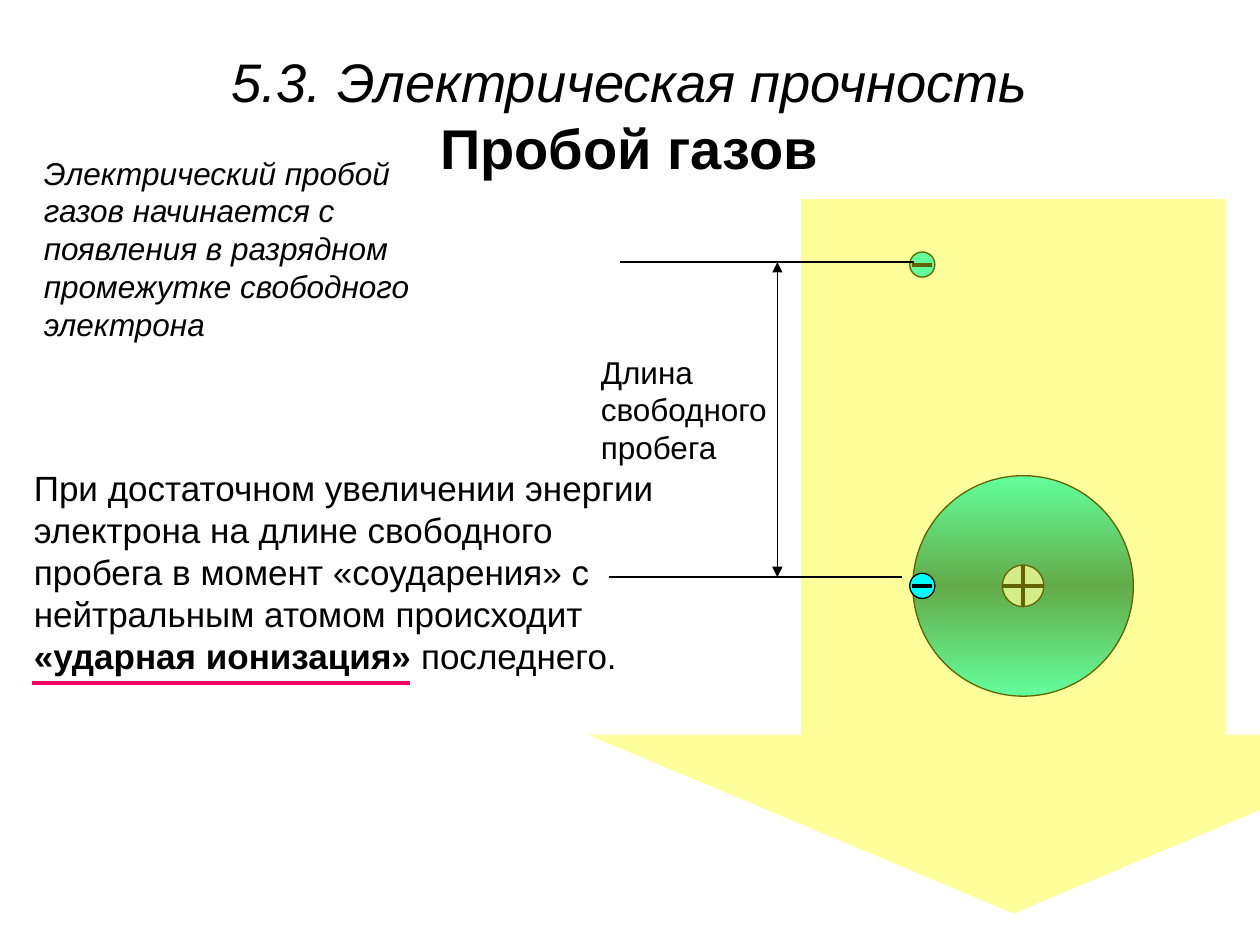
"""Slide on electrical breakdown of gases: notes beside a free-path diagram."""
from dataclasses import dataclass

from lxml.etree import SubElement
from pptx import Presentation
from pptx.dml.color import RGBColor
from pptx.enum.shapes import MSO_CONNECTOR as CONN, MSO_SHAPE as SHAPE
from pptx.enum.text import PP_ALIGN as ALIGN
from pptx.oxml import parse_xml
from pptx.oxml.ns import nsdecls, qn
from pptx.util import Inches, Pt


@dataclass(frozen=True)
class Theme:
    font: str = "Arial"
    ink: str = "000000"
    electron: str = "00FFFF"
    atom_dark: str = "007676"
    nucleus: str = "BBE0E3"
    field: str = "FFFF00"
    accent: str = "FF0066"
    field_alpha: int = 39
    topic: int = 31
    title: int = 32
    body: int = 20
    note: int = 18
    thin: float = 0.75
    thick: float = 2.25


T = Theme()

TITLE = [
    [("5.3. Электрическая прочность", T.topic, "i")],
    [("Пробой газов", T.title, "b")],
]
NOTE = [[("Электрический пробой газов начинается с появления в разрядном "
          "промежутке свободного электрона", T.note, "i")]]
PATH_LABEL = [[("Длина свободного пробега", T.note, "")]]
IONIZATION = [[
    ("При достаточном увеличении энергии электрона на длине свободного пробега "
     "в момент «соударения» с нейтральным атомом происходит ", T.body, ""),
    ("«ударная ионизация»", T.body, "b"),
    (" последнего.", T.body, ""),
]]

ELECTRON_X, START_Y, HIT_Y = 7.32, 2.1, 4.65
NUCLEUS_X = 8.12
PATH_TOP, PATH_BOTTOM, PATH_X = 2.08, 4.58, 6.17

prs = Presentation()
prs.slide_width, prs.slide_height = Inches(10), Inches(7.5)
shapes = prs.slides.add_slide(prs.slide_layouts[6]).shapes


def rgb(color):
    return RGBColor.from_string(color)


def add_text(box, paragraphs, align=ALIGN.LEFT):
    tf = shapes.add_textbox(*map(Inches, box)).text_frame
    tf.word_wrap = True
    for i, runs in enumerate(paragraphs):
        p = tf.add_paragraph() if i else tf.paragraphs[0]
        p.alignment = align
        if i:
            p.line_spacing, p.space_before = 0.4, Pt(20)
        for text, size, style in runs:
            r = p.add_run()
            r.text = text
            r.font.name, r.font.size = T.font, Pt(size)
            r.font.bold, r.font.italic = "b" in style, "i" in style
            r.font.color.rgb = rgb(T.ink)


def add_line(x1, y1, x2, y2, width=T.thin, color=T.ink, arrows=False):
    s = shapes.add_connector(CONN.STRAIGHT, *map(Inches, (x1, y1, x2, y2)))
    s.line.width, s.line.color.rgb = Pt(width), rgb(color)
    if arrows:
        ln = s.line._get_or_add_ln()
        for end in ("a:headEnd", "a:tailEnd"):
            SubElement(ln, qn(end), type="triangle")
    SubElement(s._element.spPr, qn("a:effectLst"))


def add_disc(x, y, size, fill=None):
    corner = x - size / 2, y - size / 2
    s = shapes.add_shape(SHAPE.OVAL, *map(Inches, (*corner, size, size)))
    s.shadow.inherit = False
    s.line.width, s.line.color.rgb = Pt(T.thin), rgb(T.ink)
    if fill:
        s.fill.solid()
        s.fill.fore_color.rgb = rgb(fill)
    return s


def add_charge(x, y, size, fill, bar, positive=False):
    add_disc(x, y, size, fill)
    half = bar / 2
    add_line(x - half, y, x + half, y, T.thick)
    if positive:
        add_line(x, y - half, x, y + half, T.thick)


def add_electron(y):
    add_charge(ELECTRON_X, y, 0.2, T.electron, 0.16)


def add_atom():
    stops = "".join(
        f'<a:gs pos="{pos}000"><a:srgbClr val="{color}"/></a:gs>'
        for pos, color in ((0, T.electron), (50, T.atom_dark), (100, T.electron)))
    s = add_disc(8.12, HIT_Y, 1.75)
    s._element.spPr.find(qn("a:prstGeom")).addnext(parse_xml(
        f'<a:gradFill {nsdecls("a")}><a:gsLst>{stops}</a:gsLst>'
        '<a:lin ang="5400000" scaled="1"/></a:gradFill>'))
    add_charge(NUCLEUS_X, HIT_Y, 0.33, T.nucleus, 0.33, positive=True)


def add_field():
    s = shapes.add_shape(SHAPE.DOWN_ARROW, *map(Inches, (4.67, 1.58, 6.75, 5.67)))
    s.adjustments[0], s.adjustments[1] = 0.5, 0.25
    s.shadow.inherit = False
    s.line.fill.background()
    s.fill.solid()
    s.fill.fore_color.rgb = rgb(T.field)
    color = s._element.spPr.find(qn("a:solidFill"))[0]
    SubElement(color, qn("a:alpha"), val=str(T.field_alpha * 1000))


add_text((0.08, 0.33, 9.83, 1.11), TITLE, ALIGN.CENTER)
add_text((0.25, 1.17, 3.17, 1.6), NOTE)
add_atom()
add_electron(START_Y)
add_field()
for left, y in ((4.92, PATH_TOP), (4.83, PATH_BOTTOM)):
    add_line(left, y, left + 2.33, y)
add_line(PATH_X, PATH_TOP, PATH_X, PATH_BOTTOM, arrows=True)
add_text((4.67, 2.75, 1.67, 1), PATH_LABEL)
add_electron(HIT_Y)
add_text((0.17, 3.65, 5.25, 1.77), IONIZATION)
add_line(0.25, 5.42, 3.25, 5.42, T.thick, T.accent)
prs.save("out.pptx")
